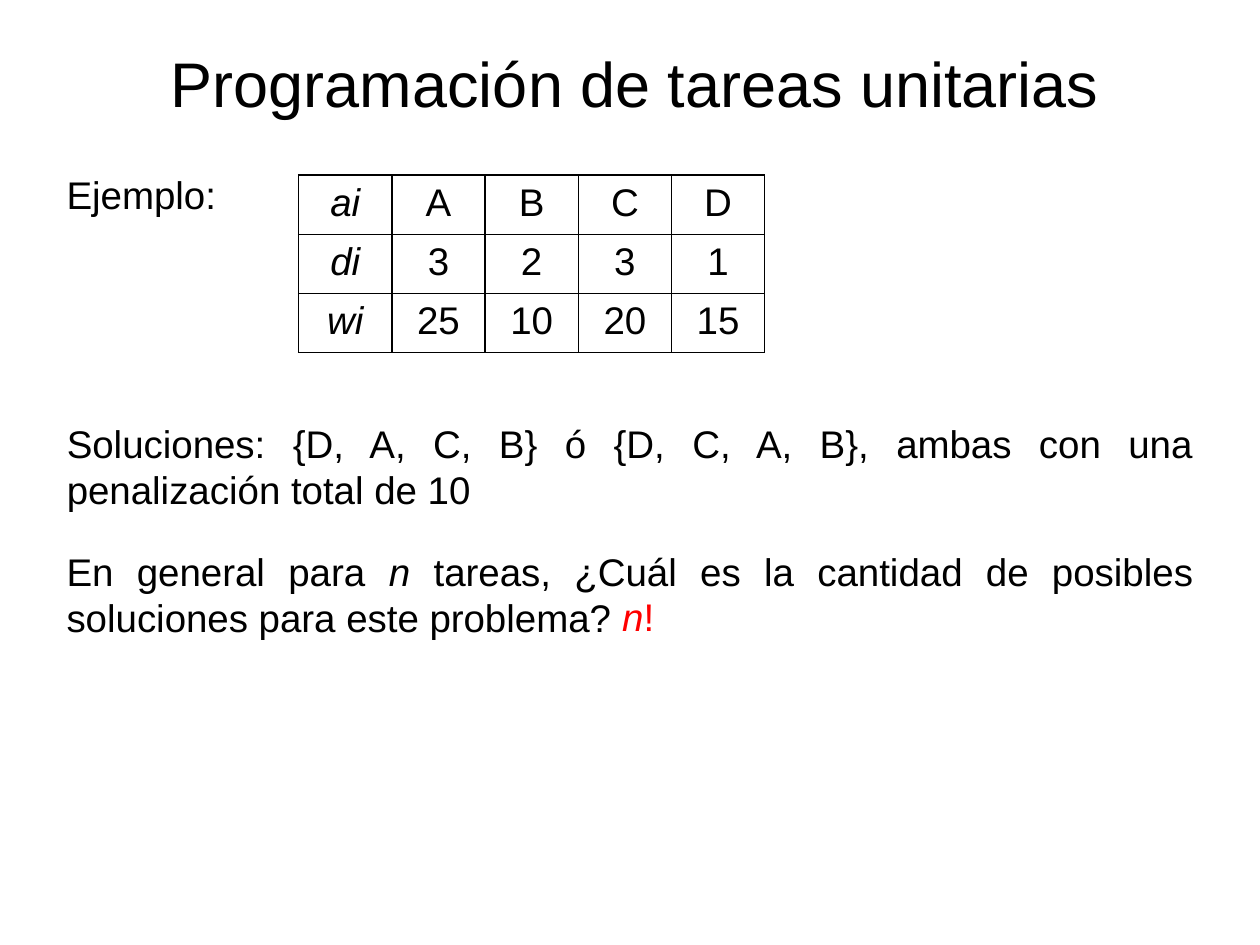
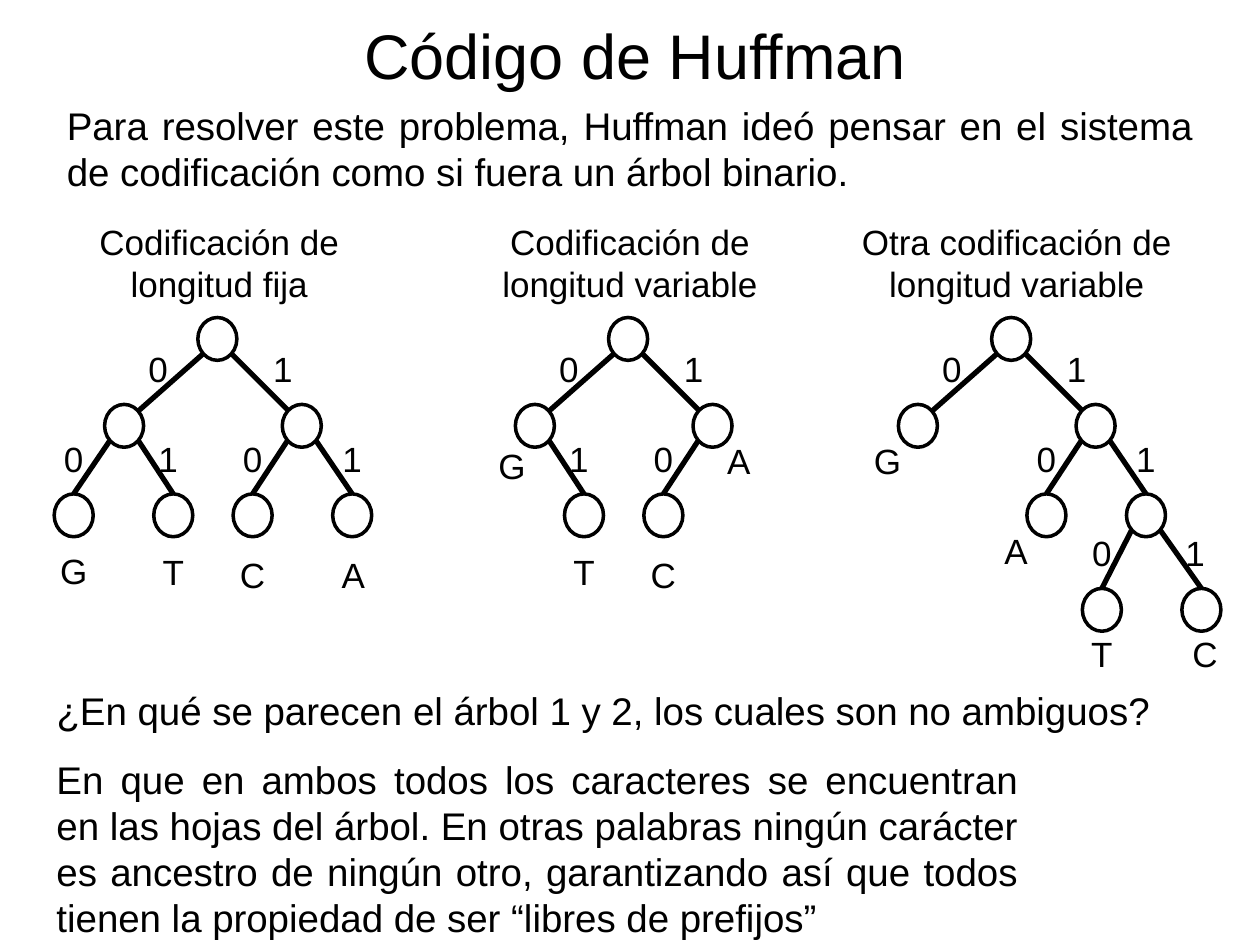
from lxml.etree import SubElement
from pptx import Presentation
from pptx.dml.color import RGBColor
from pptx.enum.shapes import MSO_CONNECTOR, MSO_SHAPE
from pptx.enum.text import MSO_ANCHOR, MSO_AUTO_SIZE, PP_ALIGN
from pptx.oxml.ns import qn
from pptx.util import Inches, Pt

FONT = "Arial"
BLACK, RED = "000000", "FF0000"
TITLE_SIZE, BODY_SIZE, LABEL_SIZE = 36, 22, 20

# Runs are (text, italic)
TASKS_TITLE = ("Programación de tareas unitarias", (0.51, 0.21, 9.06, 0.79))
SOLUTIONS = ([("Soluciones: {D, A, C, B} ó {D, C, A, B}, ambas con una "
               "penalización total de 10", False)], (0.43, 3.28, 9.14, 0.87))
TASKS_TEXTS = [
    ([("Ejemplo:", False)], (0.43, 1.31, 1.42, 0.55)),
    ([("En general para ", False), ("n ", True),
      ("tareas, ¿Cuál es la cantidad de posibles soluciones para este problema?", False)],
     (0.43, 4.3, 9.14, 0.87)),
]
ANSWER = ([("n", True), ("!", False)], (4.84, 4.66, 0.46, 0.47))
TASK_TABLE = [
    ("ai", "A", "B", "C", "D"),
    ("di", "3", "2", "3", "1"),
    ("wi", "25", "10", "20", "15"),
]
TABLE_LEFT, TABLE_TOP, COLUMN_WIDTH, ROW_HEIGHT = 2.37, 1.39, 0.74, 0.47

HUFFMAN_TITLE = ("Código de Huffman", (0.51, 0, 9.06, 0.78))
IDEA = ([("Para resolver este problema, Huffman ideó pensar en el sistema de "
          "codificación como si fuera un árbol binario.", False)], (0.43, 0.76, 9.14, 0.79))
HUFFMAN_TEXTS = [
    ([("¿En qué se parecen el árbol 1 y 2, los cuales son no ambiguos?", False)],
     (0.35, 5.4, 9.45, 0.43)),
    ([("En que en ambos todos los caracteres se encuentran en las hojas del árbol. "
       "En otras palabras ningún carácter es ancestro de ningún otro, garantizando "
       "así que todos tienen la propiedad de ser “libres de prefijos”", False)],
     (0.35, 5.95, 7.83, 1.55)),
]
# Caption, caption left, root left, and leaves: code -> letter and its offset from the node
TREES = [
    ("Codificación de longitud fija", 0.25, 1.57,
     {"00": ("G", -0.08, 0.39), "01": ("T", -0.08, 0.4),
      "10": ("C", -0.08, 0.42), "11": ("A", -0.07, 0.42)}),
    ("Codificación de longitud variable", 3.51, 4.83,
     {"0": ("G", -0.26, 0.27), "01": ("T", -0.08, 0.4),
      "10": ("C", -0.08, 0.42), "1": ("A", 0.13, 0.23)}),
    ("Otra codificación de longitud variable", 6.58, 7.87,
     {"0": ("G", -0.32, 0.23), "10": ("A", -0.32, 0.23),
      "110": ("T", -0.08, 0.3), "111": ("C", -0.05, 0.3)}),
]
# Node lefts relative to the root, and node tops by depth
NODE_SHIFT = {"": 0, "0": -0.74, "1": 0.67, "00": -1.14, "01": -0.35,
              "10": 0.28, "11": 1.07, "110": 0.72, "111": 1.51}
LEVEL_TOPS = (2.52, 3.21, 3.92, 4.67)
NODE_WIDTH, NODE_HEIGHT = 0.31, 0.34
EDGE_START = {"0": 0.04, "1": 0.27}
EDGE_START_DROP = 0.29
EDGE_END = {"0": 0.27, "1": 0.05}
EDGE_END_DROP = 0.05
BIT_SHIFT = {"0": 0.19, "1": -0.23, "01": -0.12, "111": -0.13}
USUAL_BIT_SHIFT, BIT_RISE = -0.08, 0.5
LABEL_WIDTH, LABEL_HEIGHT = 0.47, 0.44
CAPTION_TOP, CAPTION_WIDTH, CAPTION_HEIGHT = 1.7, 2.98, 0.77


def color(hex_string):
    return RGBColor.from_string(hex_string)


def place(shape, box):
    shape.left, shape.top, shape.width, shape.height = map(Inches, box)


def write(frame, runs, size, alignment, ink=BLACK, anchor=MSO_ANCHOR.TOP, wrap=True):
    """Fill a text frame with one paragraph of (text, italic) runs."""
    frame.word_wrap = wrap
    frame.auto_size = MSO_AUTO_SIZE.NONE
    frame.vertical_anchor = anchor
    paragraph = frame.paragraphs[0]
    paragraph.alignment = alignment
    paragraph.space_before = Pt(0)
    paragraph.font.name = FONT
    paragraph.font.size = Pt(size)
    paragraph.font.color.rgb = color(ink)
    for text, italic in runs:
        run = paragraph.add_run()
        run.text = text
        run.font.italic = italic


def add_text(slide, runs, box, size=BODY_SIZE, alignment=PP_ALIGN.JUSTIFY, **options):
    text_box = slide.shapes.add_textbox(*map(Inches, box))
    write(text_box.text_frame, runs, size, alignment, **options)


def add_label(slide, text, left, top, width=LABEL_WIDTH, height=LABEL_HEIGHT):
    add_text(slide, [(text, False)], (left, top, width, height), LABEL_SIZE, PP_ALIGN.CENTER)


def add_slide(presentation, title, body, texts):
    slide = presentation.slides.add_slide(presentation.slide_layouts[1])
    title_text, title_box = title
    place(slide.shapes.title, title_box)
    write(slide.shapes.title.text_frame, [(title_text, False)], TITLE_SIZE,
          PP_ALIGN.CENTER, anchor=MSO_ANCHOR.BOTTOM)

    body_runs, body_box = body
    placeholder = slide.placeholders[1]
    place(placeholder, body_box)
    properties = placeholder.text_frame.paragraphs[0]._p.get_or_add_pPr()
    properties.set("marL", "0")
    properties.set("indent", "0")
    SubElement(properties, qn("a:buNone"))
    write(placeholder.text_frame, body_runs, BODY_SIZE, PP_ALIGN.JUSTIFY)

    for runs, box in texts:
        add_text(slide, runs, box)
    return slide


def add_borders(cell):
    properties = cell._tc.get_or_add_tcPr()
    for side in ("lnL", "lnR", "lnT", "lnB"):
        line = SubElement(properties, qn(f"a:{side}"), w=str(Pt(1)))
        fill = SubElement(line, qn("a:solidFill"))
        SubElement(fill, qn("a:srgbClr"), val=BLACK)


def add_task_table(slide):
    row_count, column_count = len(TASK_TABLE), len(TASK_TABLE[0])
    table = slide.shapes.add_table(
        row_count, column_count, Inches(TABLE_LEFT), Inches(TABLE_TOP),
        Inches(COLUMN_WIDTH * column_count), Inches(ROW_HEIGHT * row_count)).table
    table.first_row = table.horz_banding = False
    for row, values in enumerate(TASK_TABLE):
        for column, value in enumerate(values):
            cell = table.cell(row, column)
            add_borders(cell)
            cell.fill.background()
            paragraph = cell.text_frame.paragraphs[0]
            paragraph.text = value
            paragraph.alignment = PP_ALIGN.CENTER
            paragraph.font.name = FONT
            paragraph.font.size = Pt(BODY_SIZE)
            paragraph.font.color.rgb = color(BLACK)
            paragraph.font.italic = column == 0


def add_node(slide, left, top):
    node = slide.shapes.add_shape(MSO_SHAPE.OVAL, Inches(left), Inches(top),
                                  Inches(NODE_WIDTH), Inches(NODE_HEIGHT))
    node.shadow.inherit = False
    node.fill.background()
    node.line.color.rgb = color(BLACK)
    node.line.width = Pt(2)
    return node


def add_edge(slide, start, end):
    edge = slide.shapes.add_connector(MSO_CONNECTOR.STRAIGHT, *map(Inches, start + end))
    edge.line.color.rgb = color(BLACK)
    edge.line.width = Pt(3)
    SubElement(edge._element.spPr, qn("a:effectLst"))
    return edge


def add_tree(slide, root_left, leaves):
    """Draw every node on the way to the leaves, each with its edge and bit."""
    def position(code):
        return root_left + NODE_SHIFT[code], LEVEL_TOPS[len(code)]

    codes = {leaf[:depth] for leaf in leaves for depth in range(len(leaf) + 1)}
    for code in sorted(codes, key=lambda code: (len(code), code)):
        left, top = position(code)
        node = add_node(slide, left, top)
        if code:
            bit = code[-1]
            parent_left, parent_top = position(code[:-1])
            start = (parent_left + EDGE_START[bit], parent_top + EDGE_START_DROP)
            edge = add_edge(slide, start, (left + EDGE_END[bit], top + EDGE_END_DROP))
            if len(code) > 1:
                edge.end_connect(node, 0)
            add_label(slide, bit, left + BIT_SHIFT.get(code, USUAL_BIT_SHIFT), top - BIT_RISE)
        if code in leaves:
            letter, right_shift, drop = leaves[code]
            add_label(slide, letter, left + right_shift, top + drop)


def main():
    presentation = Presentation()
    presentation.slide_width, presentation.slide_height = Inches(10), Inches(7.5)

    tasks_slide = add_slide(presentation, TASKS_TITLE, SOLUTIONS, TASKS_TEXTS)
    add_text(tasks_slide, *ANSWER, alignment=PP_ALIGN.LEFT, ink=RED, wrap=False)
    add_task_table(tasks_slide)

    huffman_slide = add_slide(presentation, HUFFMAN_TITLE, IDEA, HUFFMAN_TEXTS)
    for caption, caption_left, root_left, leaves in TREES:
        add_label(huffman_slide, caption, caption_left, CAPTION_TOP,
                  CAPTION_WIDTH, CAPTION_HEIGHT)
        add_tree(huffman_slide, root_left, leaves)

    presentation.save("out.pptx")


if __name__ == "__main__":
    main()
